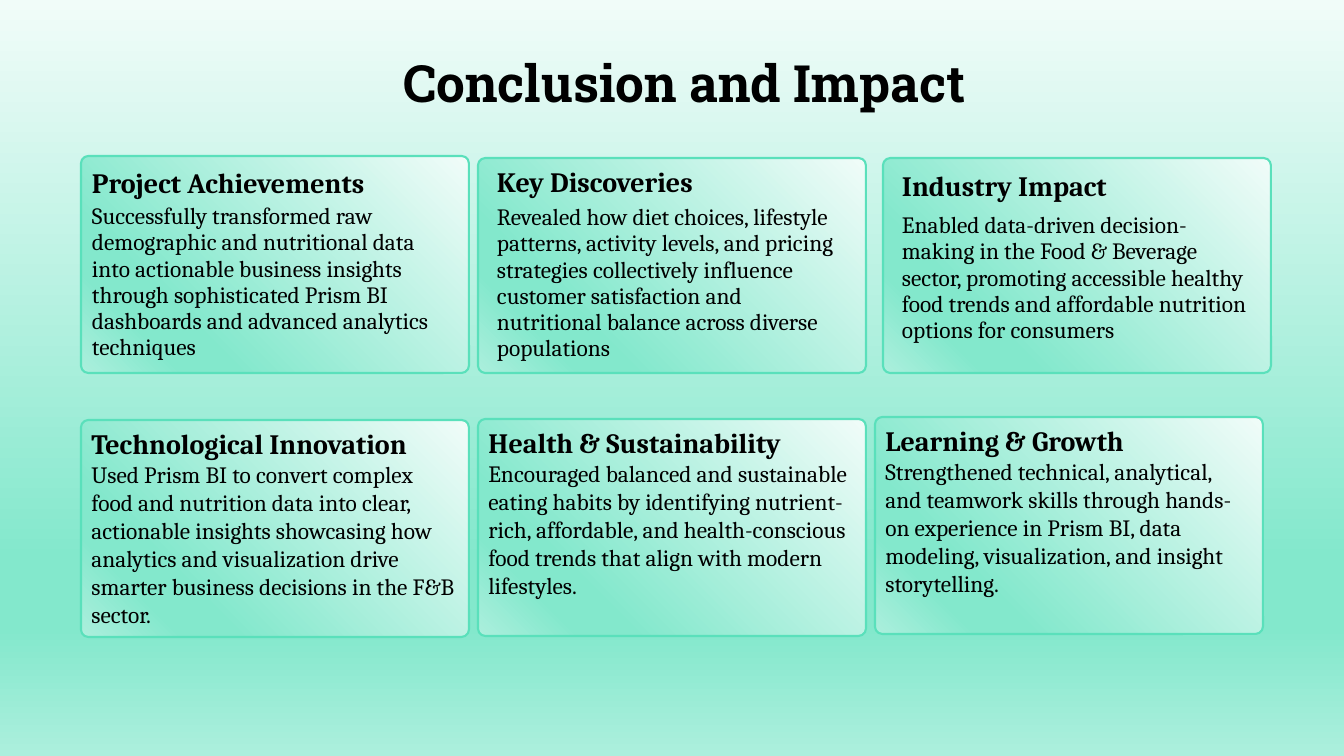
from dataclasses import dataclass

from lxml import etree
from pptx import Presentation
from pptx.dml.color import RGBColor
from pptx.enum.shapes import MSO_SHAPE
from pptx.enum.text import MSO_ANCHOR, PP_ALIGN
from pptx.oxml.ns import qn
from pptx.util import Emu, Pt

ROUNDED = MSO_SHAPE.ROUNDED_RECTANGLE
TOP = MSO_ANCHOR.TOP
LEFT, CENTER = PP_ALIGN.LEFT, PP_ALIGN.CENTER

# Content
TITLE = "Conclusion and Impact"
FINDINGS = [
    ("Project Achievements",
     "Successfully transformed raw demographic and nutritional data into actionable "
     "business insights through sophisticated Prism BI dashboards and advanced "
     "analytics techniques"),
    ("Key Discoveries",
     "Revealed how diet choices, lifestyle patterns, activity levels, and pricing "
     "strategies collectively influence customer satisfaction and nutritional balance "
     "across diverse populations"),
    ("Industry Impact",
     "Enabled data-driven decision-making in the Food & Beverage sector, promoting "
     "accessible healthy food trends and affordable nutrition options for consumers"),
]
OUTCOMES = [
    ("Technological Innovation",
     "Used Prism BI to convert complex food and nutrition data into clear, actionable "
     "insights showcasing how analytics and visualization drive smarter business "
     "decisions in the F&B sector."),
    ("Health & Sustainability",
     "Encouraged balanced and sustainable eating habits by identifying nutrient-rich, "
     "affordable, and health-conscious food trends that align with modern lifestyles."),
    ("Learning & Growth",
     "Strengthened technical, analytical, and teamwork skills through hands-on "
     "experience in Prism BI, data modeling, visualization, and insight storytelling."),
]


@dataclass(frozen=True)
class Theme:
    ink: str = "000000"
    outline: str = "5AE0BB"
    mint: tuple = ((0, "F1FCF9"), (74, "83E8CC"), (83, "83E8CC"), (100, "ACEFDD"))
    title_font: str = "Roboto Slab"
    text_font: str = "Cambria"
    title_size: int = 44
    heading_size: int = 24
    body_size: int = 20
    outline_width: float = 1.8


THEME = Theme()

# Layout in px
EMU_PER_PX = 914400 / 84
SLIDE_SIZE = (1344, 756)
TITLE_BOX = (365, 61, 640, 52)
CARD_W, CARD_H = 388, 217
# Findings: card left, top, height, text left, heading top, body top
FINDING_PLACES = [
    (81, 156, 217, 92, 173, 203),
    (478, 158, 215, 497, 172, 204),
    (883, 158, 215, 902, 176, 212),
]
TEXT_W, HEADING_H, BODY_H = 351, 26, 134
OUTCOME_LEFT, OUTCOME_STEP = 81, 397
OUTCOME_TOPS = (420, 419, 417)


def px(*lengths):
    return [Emu(round(length * EMU_PER_PX)) for length in lengths]


def mint_gradient(fill, owner, clockwise):
    fill.gradient()
    fill.gradient_angle = 360 - clockwise
    stops = next(owner.iter(qn("a:gsLst")))
    for old in list(stops):
        stops.remove(old)
    for percent, color in THEME.mint:
        stop = etree.SubElement(stops, qn("a:gs"), pos=str(percent * 1000))
        etree.SubElement(stop, qn("a:srgbClr"), val=color)


def style(paragraph, size, bold=False, font=THEME.text_font, align=LEFT, spacing=None):
    paragraph.alignment = align
    if spacing:
        paragraph.line_spacing = Pt(spacing)
    for run in paragraph.runs:
        run.font.name = font
        run.font.size = Pt(size)
        run.font.bold = bold
        run.font.color.rgb = RGBColor.from_string(THEME.ink)


def fill_frame(frame, text, **look):
    frame.margin_left = frame.margin_right = frame.margin_top = frame.margin_bottom = 0
    frame.word_wrap = True
    frame.vertical_anchor = TOP
    frame.text = text
    style(frame.paragraphs[0], **look)


def add_text(slide, box, text, **look):
    fill_frame(slide.shapes.add_textbox(*px(*box)).text_frame, text, **look)


def add_card(slide, left, top, height):
    card = slide.shapes.add_shape(ROUNDED, *px(left, top, CARD_W, height))
    card.adjustments[0] = 0.034
    card.shadow.inherit = False
    mint_gradient(card.fill, card.element, 135)
    card.line.color.rgb = RGBColor.from_string(THEME.outline)
    card.line.width = Pt(THEME.outline_width)
    return card


def main():
    deck = Presentation()
    deck.slide_width, deck.slide_height = px(*SLIDE_SIZE)
    slide = deck.slides.add_slide(deck.slide_layouts[5])
    mint_gradient(slide.background.fill, slide.element, 90)

    # Title
    title = slide.shapes.title
    title.left, title.top, title.width, title.height = px(*TITLE_BOX)
    fill_frame(title.text_frame, TITLE, size=THEME.title_size, bold=True,
               font=THEME.title_font, align=CENTER, spacing=44.5)

    # Upper row: findings
    for (heading, body), place in zip(FINDINGS, FINDING_PLACES):
        left, top, height, text_left, heading_top, body_top = place
        add_card(slide, left, top, height)
        add_text(slide, (text_left, heading_top, TEXT_W, HEADING_H), heading,
                 size=THEME.heading_size, bold=True, spacing=22)
        add_text(slide, (text_left, body_top, TEXT_W, BODY_H), body,
                 size=THEME.body_size, spacing=22.5)

    # Lower row: outcomes
    for column, ((heading, body), top) in enumerate(zip(OUTCOMES, OUTCOME_TOPS)):
        card = add_card(slide, OUTCOME_LEFT + column * OUTCOME_STEP, top, CARD_H)
        frame = card.text_frame
        frame.word_wrap = True
        frame.vertical_anchor = TOP
        frame.text = f"{heading}\n{body}"
        style(frame.paragraphs[0], THEME.heading_size, True)
        style(frame.paragraphs[1], THEME.body_size)

    deck.save("out.pptx")


if __name__ == "__main__":
    main()
